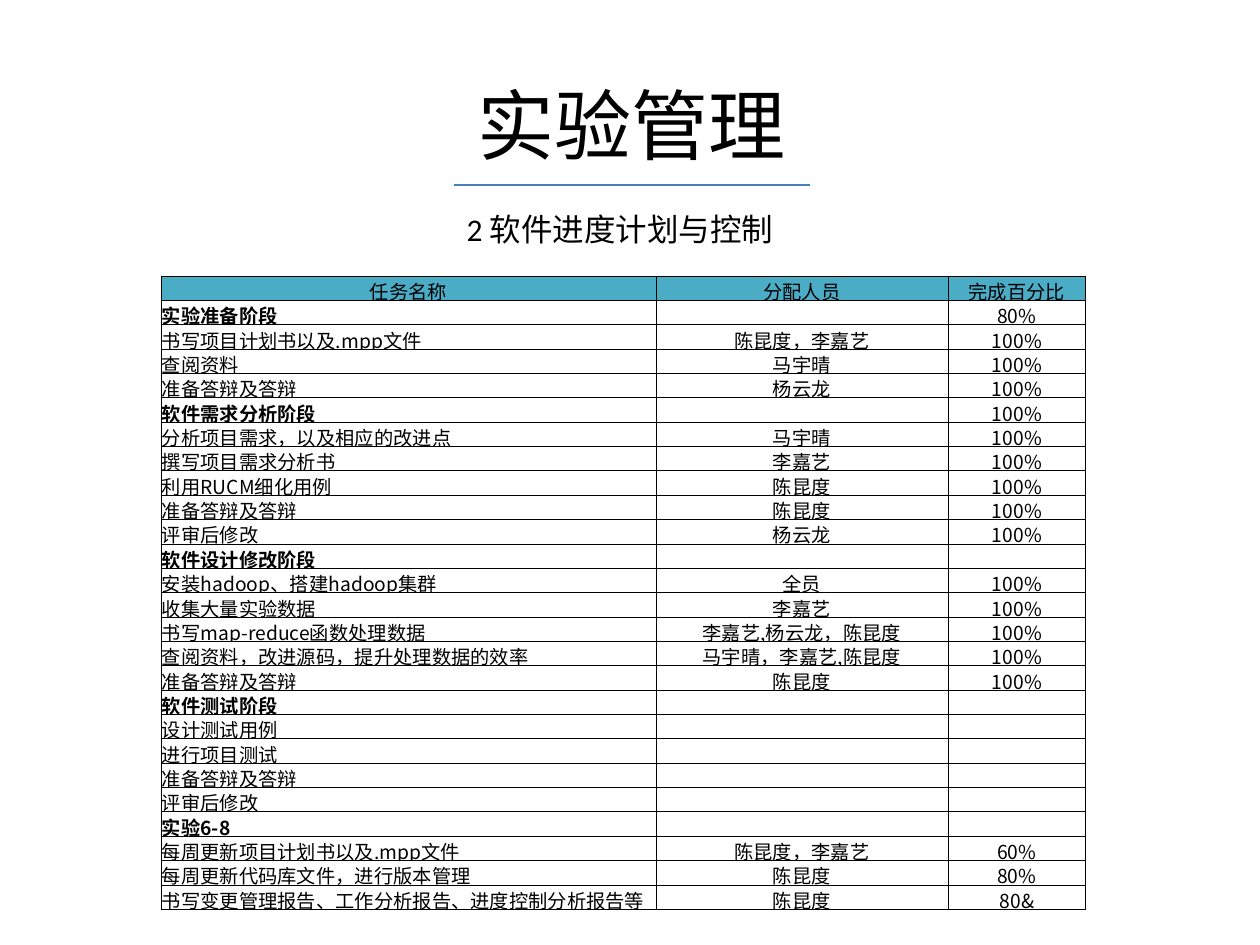
from lxml import etree
from pptx import Presentation
from pptx.dml.color import RGBColor
from pptx.enum import shapes, text
from pptx.oxml.ns import qn
from pptx.util import Pt

PX = 914400 // 126
BLACK, WHITE, TEAL, BLUE = "000000", "FFFFFF", "4BACC6", "4B7EBC"
CENTER, LEFT = text.PP_ALIGN.CENTER, text.PP_ALIGN.LEFT

TITLE = "实验管理"
SUBTITLE = "2 软件进度计划与控制 "
HEADER = ("任务名称", "分配人员", "完成百分比")
STAGES = [
    (("实验准备阶段", "", "80%"), [
        ("书写项目计划书以及.mpp文件", "陈昆度，李嘉艺", "100%"),
        ("查阅资料", "马宇晴", "100%"),
        ("准备答辩及答辩", "杨云龙", "100%"),
    ]),
    (("软件需求分析阶段", "", "100%"), [
        ("分析项目需求，以及相应的改进点", "马宇晴", "100%"),
        ("撰写项目需求分析书", "李嘉艺", "100%"),
        ("利用RUCM细化用例", "陈昆度", "100%"),
        ("准备答辩及答辩", "陈昆度", "100%"),
        ("评审后修改", "杨云龙", "100%"),
    ]),
    (("软件设计修改阶段", "", ""), [
        ("安装hadoop、搭建hadoop集群", "全员", "100%"),
        ("收集大量实验数据", "李嘉艺", "100%"),
        ("书写map-reduce函数处理数据", "李嘉艺,杨云龙，陈昆度", "100%"),
        ("查阅资料，改进源码，提升处理数据的效率", "马宇晴，李嘉艺,陈昆度", "100%"),
        ("准备答辩及答辩", "陈昆度", "100%"),
    ]),
    (("软件测试阶段", "", ""), [
        ("设计测试用例", "", ""),
        ("进行项目测试", "", ""),
        ("准备答辩及答辩", "", ""),
        ("评审后修改", "", ""),
    ]),
    (("实验6-8", "", ""), [
        ("每周更新项目计划书以及.mpp文件", "陈昆度，李嘉艺", "60%"),
        ("每周更新代码库文件，进行版本管理", "陈昆度", "80%"),
        ("书写变更管理报告、工作分析报告、进度控制分析报告等", "陈昆度", "80&"),
    ]),
]
COL_WIDTHS = (495, 292, 138)
TABLE_LEFT, TABLE_TOP, TABLE_HEIGHT = 161, 276, 634


def rgb(value):
    return RGBColor.from_string(value)


def add_run(p, words, size, font, bold=False):
    r = p.add_run()
    r.text = words
    r.font.size, r.font.name, r.font.bold = Pt(size), font, bold
    r.font.color.rgb = rgb(BLACK)
    return r


def add_text(slide, box, words, size, font, wrap):
    sp = slide.shapes.add_textbox(*(v * PX for v in box))
    tf = sp.text_frame
    tf.word_wrap = wrap
    tf.vertical_anchor = text.MSO_ANCHOR.MIDDLE
    p = tf.paragraphs[0]
    p.alignment = CENTER
    add_run(p, words, size, font)
    return tf


def add_borders(cell):
    tc_pr = cell._tc.get_or_add_tcPr()
    for i, side in enumerate(("lnL", "lnR", "lnT", "lnB")):
        ln = etree.Element(qn("a:" + side), w=str(Pt(0.5)))
        fill = etree.SubElement(ln, qn("a:solidFill"))
        etree.SubElement(fill, qn("a:srgbClr"), val=BLACK)
        tc_pr.insert(i, ln)


def fill_cell(cell, words, color, align, bold):
    cell.margin_left = cell.margin_right = cell.margin_top = PX
    cell.margin_bottom = 0
    cell.vertical_anchor = text.MSO_ANCHOR.BOTTOM
    cell.fill.solid()
    cell.fill.fore_color.rgb = rgb(color)
    p = cell.text_frame.paragraphs[0]
    p.alignment = align
    if words:
        add_run(p, words, 11, "Noto Sans CJK SC", bold)
    else:
        p.font.size = Pt(11)
    add_borders(cell)


def add_schedule(slide):
    rows = [(HEADER, "header")]
    for stage, tasks in STAGES:
        rows.append((stage, "stage"))
        rows += [(task, "task") for task in tasks]
    frame = slide.shapes.add_table(
        len(rows), len(HEADER), TABLE_LEFT * PX, TABLE_TOP * PX,
        sum(COL_WIDTHS) * PX, TABLE_HEIGHT * PX)
    table = frame.table
    for column, width in zip(table.columns, COL_WIDTHS):
        column.width = width * PX
    for i, (values, kind) in enumerate(rows):
        table.rows[i].height = TABLE_HEIGHT * PX // len(rows)
        for j, words in enumerate(values):
            color = TEAL if kind == "header" else WHITE
            align = LEFT if j == 0 and kind != "header" else CENTER
            fill_cell(table.cell(i, j), words, color, align, kind == "stage" and j == 0)


def main():
    prs = Presentation()
    prs.slide_width, prs.slide_height = 1260 * PX, 945 * PX
    slide = prs.slides.add_slide(prs.slide_layouts[6])
    add_text(slide, (442, 62, 379, 123), TITLE, 44, "Noto Sans Mono", True)
    rule = slide.shapes.add_connector(
        shapes.MSO_CONNECTOR.STRAIGHT, 454 * PX, 185 * PX, 810 * PX, 185 * PX)
    rule.line.color.rgb = rgb(BLUE)
    rule.line.width = Pt(0.75)
    etree.SubElement(rule._element.spPr, qn("a:effectLst"))
    tf = add_text(slide, (452, 204, 343, 50), SUBTITLE, 18, "Calibri", False)
    tf.auto_size = text.MSO_AUTO_SIZE.SHAPE_TO_FIT_TEXT
    add_schedule(slide)
    prs.save("out.pptx")


if __name__ == "__main__":
    main()
